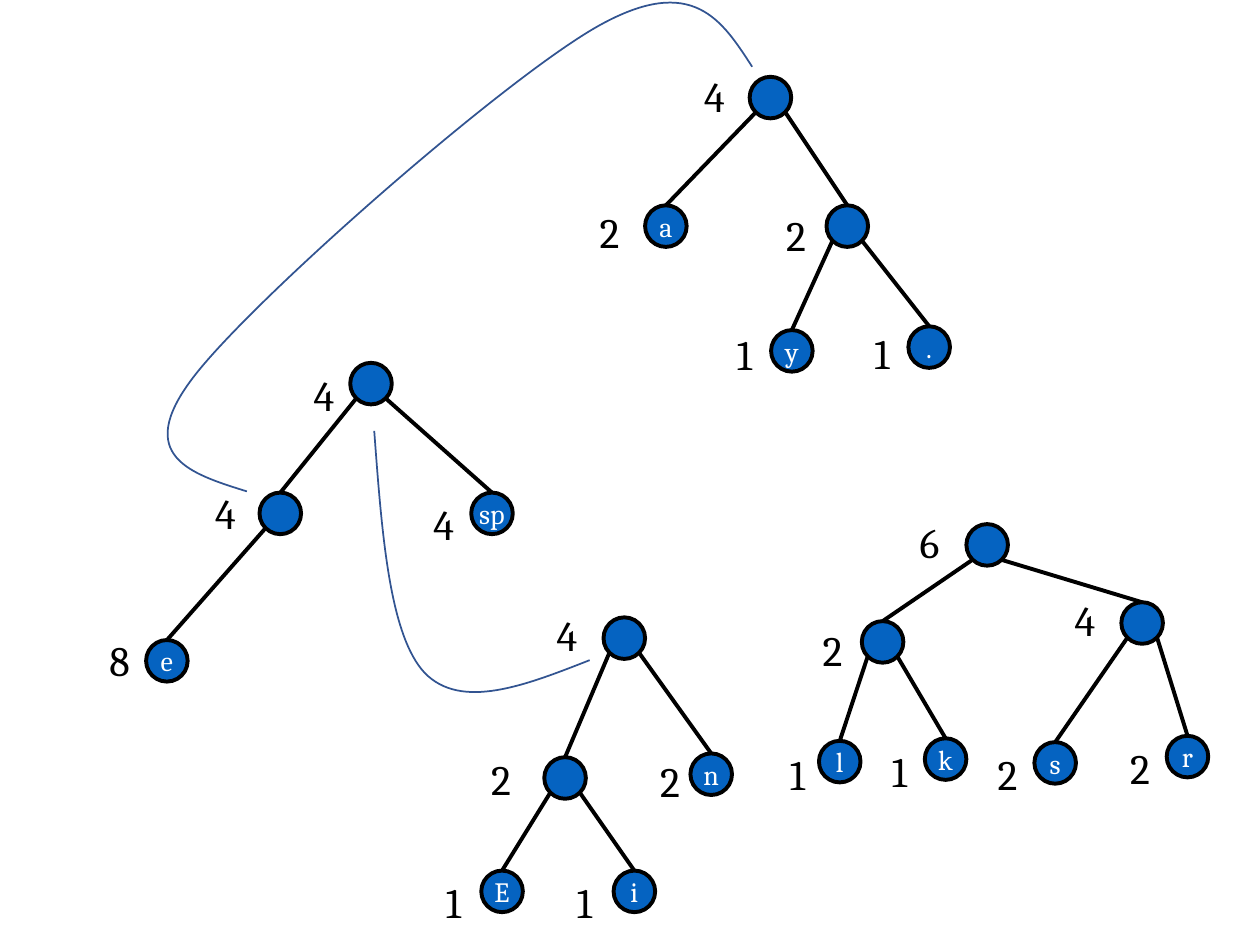
from lxml import etree
from pptx import Presentation
from pptx import util as u
from pptx.dml.color import RGBColor
from pptx.enum import shapes, text
from pptx.oxml import ns

BLUE = RGBColor(0x05, 0x63, 0xC1)
NAVY = RGBColor(0x32, 0x54, 0x91)
BLACK = RGBColor(0, 0, 0)
WHITE = RGBColor(255, 255, 255)
COLS, ROWS = 100, 75
DOT, SIDE = 3.3, 1.2
FRAME = dict(word_wrap=False)
DISC = dict(FRAME, vertical_anchor=text.MSO_ANCHOR.MIDDLE)
MARK = dict(FRAME, auto_size=text.MSO_AUTO_SIZE.SHAPE_TO_FIT_TEXT)

deck = Presentation()
deck.slide_width, deck.slide_height = u.Inches(10), u.Inches(7.5)
slide = deck.slides.add_slide(deck.slide_layouts[6])
cell = deck.slide_width / COLS


def grid(*spans):
    return [round(span * cell) for span in spans]


def style(item, **values):
    for name, value in values.items():
        setattr(item, name, value)


def write(shape, words, size, color, align, frame):
    style(shape.text_frame, **frame)
    para = shape.text_frame.paragraphs[0]
    para.alignment = align
    run = para.add_run()
    run.text = words
    style(run.font, name="Cambria", size=u.Pt(size))
    run.font.color.rgb = color


def stroke(item, color, width):
    item.line.color.rgb = color
    item.line.width = u.Pt(width)


def edge(start, end):
    line = slide.shapes.add_connector(shapes.MSO_CONNECTOR.STRAIGHT, *grid(*start, *end))
    stroke(line, BLACK, 2.25)
    etree.SubElement(line._element.spPr, ns.qn("a:effectLst"))


def node(left, top, label, count, shift, drop):
    disc = slide.shapes.add_shape(shapes.MSO_SHAPE.OVAL, *grid(left, top, DOT, DOT))
    disc.shadow.inherit = False
    disc.fill.solid()
    disc.fill.fore_color.rgb = BLUE
    stroke(disc, BLACK, 2.25)
    if label:
        write(disc, label, 16, WHITE, text.PP_ALIGN.CENTER, DISC)
    mark = slide.shapes.add_textbox(*grid(left + shift, top + drop, 3.9, 5))
    write(mark, count, 24, BLACK, text.PP_ALIGN.LEFT, MARK)


def tree(left, top, nodes):
    half = DOT / 2
    for up, x, y, *rest in nodes:
        if up is not None:
            px, py = nodes[up][1:3]
            side = SIDE if x > px else -SIDE
            edge((left + px + half + side, top + py + half + SIDE),
                 (left + x + half, top + y))
    for up, x, y, *rest in nodes:
        node(left + x, top + y, *rest)


def curve(left, top, width, height, start, bends):
    x, y, wide, high = grid(left, top, width, height)
    build = slide.shapes.build_freeform(x, y)
    build.add_line_segments([(x + wide, y + high)], close=False)
    shape = build.convert_to_shape()
    shape.shadow.inherit = False
    shape.fill.background()
    stroke(shape, NAVY, 1)
    track = shape._element.spPr.find(".//" + ns.qn("a:path"))
    for part in list(track):
        track.remove(part)
    for kind, points in [("a:moveTo", [start])] + [("a:cubicBezTo", b) for b in bends]:
        step = etree.SubElement(track, ns.qn(kind))
        for point in points:
            px, py = grid(*point)
            etree.SubElement(step, ns.qn("a:pt"), x=str(px), y=str(py))


TREES = [
    (27.8, 28.8, [
        (None, 0, 0, "", "4", -3.9, 0),
        (0, -7.2, 10.3, "", "4", -4.5, -0.9),
        (0, 9.6, 10.3, "sp", "4", -4, 0),
        (1, -16.2, 22, "e", "8", -3.9, -0.9)]),
    (59.5, 6.1, [
        (None, 0, 0, "", "4", -4.6, -1),
        (0, -8.3, 10.2, "a", "2", -4.6, -0.4),
        (0, 6.1, 10.2, "", "2", -4.2, -0.2),
        (2, 1.7, 20.1, "y", "1", -3.7, -0.6),
        (2, 12.6, 19.8, ".", "1", -3.7, -0.4)]),
    (47.9, 49, [
        (None, 0, 0, "", "4", -4.7, -1.1),
        (0, -4.7, 11.1, "", "2", -5.2, -0.8),
        (0, 6.9, 10.8, "n", "2", -3.4, -0.3),
        (1, -9.7, 20.1, "E", "1", -3.8, 0),
        (1, 0.8, 20.1, "i", "1", -3.9, 0)]),
    (76.7, 41.6, [
        (None, 0, 0, "", "6", -4.7, -1.1),
        (0, -8.3, 7.7, "", "2", -4.1, -0.2),
        (0, 12.3, 6.2, "", "4", -4.7, -1.1),
        (1, -11.7, 17.2, "l", "1", -3.3, 0.1),
        (1, -3.3, 17, "k", "1", -3.6, 0.1),
        (2, 5.4, 17.3, "s", "2", -3.9, 0),
        (2, 15.9, 16.8, "r", "2", -3.9, 0)]),
]
CURVES = [
    (13.3, 0.2, 46.4, 38.8, (46.4, 5.1), [
        [(44, 1.4), (41.7, -2.3), (34.3, 1.8)],
        [(26.9, 5.9), (6.7, 23.6), (2, 29.8)],
        [(-2.7, 36), (1.8, 37.4), (6.3, 38.8)]]),
    (29.7, 34.2, 17.1, 20.7, (17.1, 18.2), [
        [(12, 20.2), (6.9, 22.2), (4, 19.2)],
        [(1.2, 16.2), (0.6, 8.1), (0, 0)]]),
]

for spot in TREES:
    tree(*spot)
for sweep in CURVES:
    curve(*sweep)
deck.save("out.pptx")
